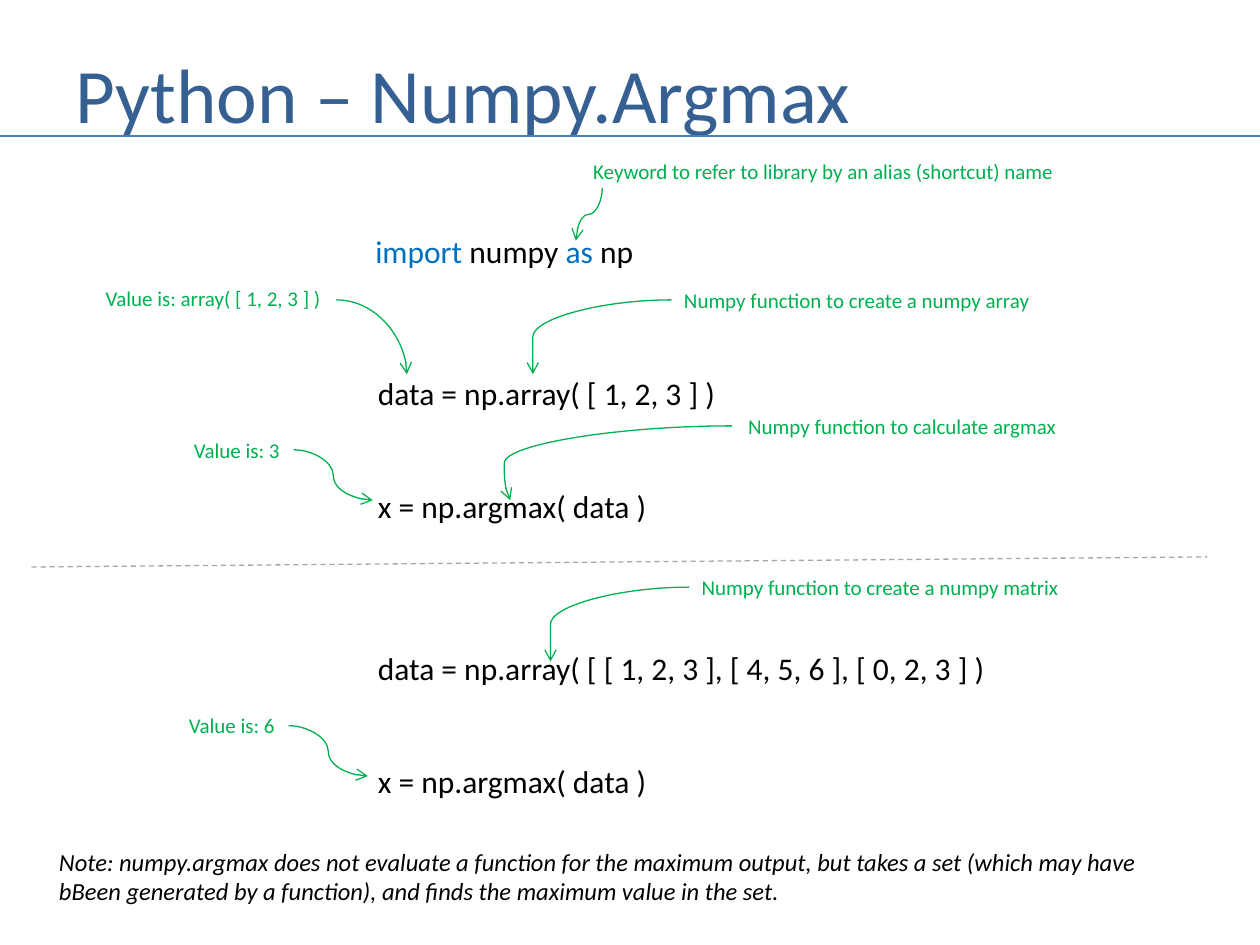
from dataclasses import dataclass
from pptx import Presentation
from pptx.dml.color import RGBColor
from pptx.enum.dml import MSO_LINE
from pptx.enum.shapes import MSO_CONNECTOR
from pptx.enum.text import MSO_ANCHOR, MSO_AUTO_SIZE
from pptx.oxml.ns import qn
from pptx.util import Inches, Pt
from lxml.etree import SubElement


@dataclass(frozen=True)
class Theme:
    font: str = "Calibri"
    title: str = "376092"
    rule: str = "4B7EBC"
    code: str = "000000"
    keyword: str = "0070C0"
    callout: str = "00B050"
    divider: str = "A6A6A6"
    title_size: int = 44
    code_size: int = 18
    note_size: int = 14
    callout_size: int = 12
    code_gap: int = 43


THEME = Theme()


def set_attributes(target, values):
    for name, value in values.items():
        setattr(target, name, value)


def add_text(slide, box, paragraphs, size, wrap=False, anchor=MSO_ANCHOR.TOP, italic=None, gap=0):
    shape = slide.shapes.add_textbox(*map(Inches, box))
    frame = shape.text_frame
    set_attributes(frame, {"word_wrap": wrap, "vertical_anchor": anchor,
                           "auto_size": MSO_AUTO_SIZE.NONE if wrap else MSO_AUTO_SIZE.SHAPE_TO_FIT_TEXT})
    for index, runs in enumerate(paragraphs):
        paragraph = frame.add_paragraph() if index else frame.paragraphs[0]
        if index and gap:
            paragraph.space_before = Pt(gap)
        for text, color in runs:
            run = paragraph.add_run()
            run.text = text
            set_attributes(run.font, {"name": THEME.font, "size": Pt(size), "italic": italic})
            run.font.color.rgb = RGBColor.from_string(color)


def add_line(slide, start, end, color, width=0.75, kind=MSO_CONNECTOR.STRAIGHT):
    connector = slide.shapes.add_connector(kind, *map(Inches, (*start, *end)))
    connector.line.color.rgb = RGBColor.from_string(color)
    connector.line.width = Pt(width)
    SubElement(connector._element.spPr, qn("a:effectLst"))
    return connector


def add_curve(slide, start, end, bend=None, quarter=False, downward=False):
    if downward:
        middle_x, middle_y = (start[0] + end[0]) / 2, (start[1] + end[1]) / 2
        half_width, half_height = (end[1] - start[1]) / 2, (start[0] - end[0]) / 2
        start = middle_x - half_width, middle_y - half_height
        end = middle_x + half_width, middle_y + half_height
    connector = add_line(slide, start, end, THEME.callout, kind=MSO_CONNECTOR.CURVE)
    properties = connector._element.spPr
    geometry = properties.find(qn("a:prstGeom"))
    if downward:
        properties.find(qn("a:xfrm")).set("rot", "5400000")
    if quarter:
        geometry.set("prst", "curvedConnector2")
    if bend:
        adjustments = geometry.find(qn("a:avLst"))
        if adjustments is None:
            adjustments = SubElement(geometry, qn("a:avLst"))
        SubElement(adjustments, qn("a:gd"), name="adj1", fmla=f"val {round(bend * 100000)}")
    SubElement(properties.find(qn("a:ln")), qn("a:tailEnd"), type="arrow")


def add_callout(slide, origin, offset, width, text, tail, reach, **curve):
    left, top = origin[0] + offset[0], origin[1] + offset[1]
    add_text(slide, (left, top, width, 0.3), [[(text, THEME.callout)]], THEME.callout_size)
    start = left + tail[0], top + tail[1]
    add_curve(slide, start, (start[0] + reach[0], start[1] + reach[1]), **curve)


def add_title(slide, box, text):
    left, top, width, height = box
    add_text(slide, (left + 0.5, top + 0.3, width - 0.92, 0.87), [[(text, THEME.title)]],
             THEME.title_size, wrap=True, anchor=MSO_ANCHOR.MIDDLE)
    add_line(slide, (left, top + height), (left + width, top + height), THEME.rule, 1.5)


def add_import(slide, box):
    runs = [("import ", THEME.keyword), ("numpy ", THEME.code), ("as", THEME.keyword), (" np", THEME.code)]
    add_text(slide, box, [runs], THEME.code_size)
    add_callout(slide, box[:2], (1.73, -0.58), 3.93,
                "Keyword to refer to library by an alias (shortcut) name ",
                (0.17, 0.28), (-0.21, 0.42), downward=True)


def add_example(slide, box, data, kind, kind_offset, kind_width, result, result_offset):
    lines = [f"data = np.array( {data} )", "x = np.argmax( data )"]
    add_text(slide, box, [[(line, THEME.code)] for line in lines], THEME.code_size, gap=THEME.code_gap)
    origin = box[:2]
    add_callout(slide, origin, kind_offset, kind_width, f"Numpy function to create a numpy {kind} ",
                (0, 0.15), (-1.1, 0.59), bend=1.001)
    add_callout(slide, origin, result_offset, 0.89, f"Value is: {result}", (0.89, 0.15), (0.63, 0.4))


def add_array_example(slide, box):
    add_example(slide, box, "[ 1, 2, 3 ]", "array", (2.43, -0.69), 3.01, 3, (-1.46, 0.5))
    add_callout(slide, box[:2], (-2.16, -0.7), 1.93, "Value is: array( [ 1, 2, 3 ] )",
                (1.93, 0.16), (0.56, 0.59), quarter=True)
    add_callout(slide, box[:2], (2.94, 0.31), 2.67, "Numpy function to calculate argmax",
                (-0.03, 0.15), (-1.76, 0.59), bend=1.027)


def add_matrix_example(slide, box):
    add_example(slide, box, "[ [ 1, 2, 3 ], [ 4, 5, 6 ], [ 0, 2, 3 ]", "matrix",
                (2.57, -0.59), 3.1, 6, (-1.5, 0.51))


def add_note(slide, box):
    lines = ["Note: numpy.argmax does not evaluate a function for the maximum output, but takes a set (which may have",
             "bBeen generated by a function), and finds the maximum value in the set."]
    add_text(slide, box, [[(line, THEME.code)] for line in lines], THEME.note_size, italic=True)


def build():
    presentation = Presentation()
    set_attributes(presentation, {"slide_width": Inches(10), "slide_height": Inches(7.5)})
    slide = presentation.slides.add_slide(presentation.slide_layouts[6])
    add_title(slide, (0, 0, 10, 1.08), "Python – Numpy.Argmax")
    add_import(slide, (2.88, 1.79, 2.28, 0.4))
    add_array_example(slide, (2.9, 2.92, 2.91, 1.31))
    divider = add_line(slide, (0.25, 4.5), (9.58, 4.42), THEME.divider)
    divider.line.dash_style = MSO_LINE.DASH
    add_matrix_example(slide, (2.9, 5.1, 5.08, 1.31))
    add_note(slide, (0.37, 6.67, 8.83, 0.57))
    presentation.save("out.pptx")


build()
